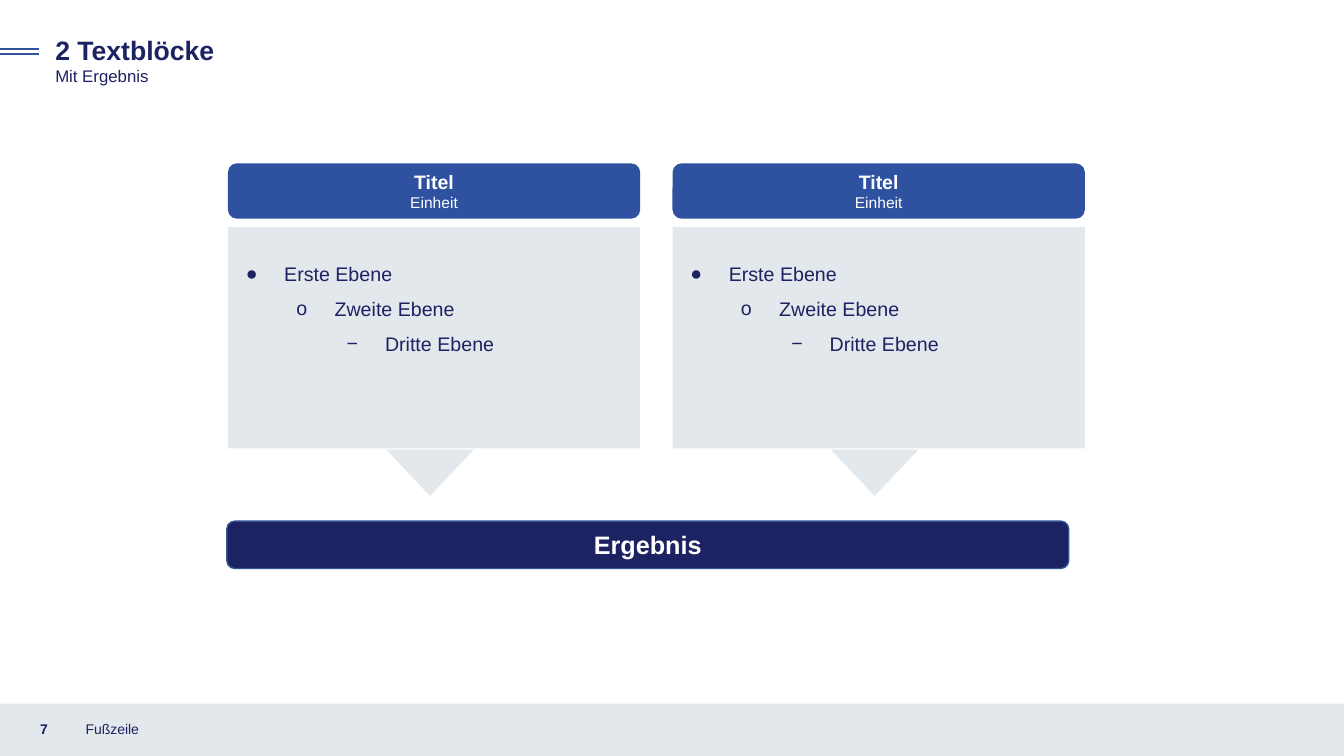
"""Build a slide with two text blocks that lead to one result."""
from dataclasses import dataclass

from lxml import etree
from pptx import Presentation
from pptx.dml.color import RGBColor
from pptx.enum.shapes import MSO_CONNECTOR, MSO_SHAPE
from pptx.enum.text import MSO_ANCHOR, PP_ALIGN
from pptx.oxml.ns import qn
from pptx.util import Inches, Pt

RECT = MSO_SHAPE.RECTANGLE
ROUND = MSO_SHAPE.ROUNDED_RECTANGLE
WEDGE = MSO_SHAPE.ISOSCELES_TRIANGLE
LINE = MSO_CONNECTOR.STRAIGHT
TOP, MIDDLE = MSO_ANCHOR.TOP, MSO_ANCHOR.MIDDLE
LEFT, CENTER = PP_ALIGN.LEFT, PP_ALIGN.CENTER


@dataclass(frozen=True)
class Theme:
    """Colours, font and type sizes of the slide."""
    navy: str = "1D2262"
    blue: str = "2F52A0"
    edge: str = "325491"
    gray: str = "E3E8EC"
    white: str = "FFFFFF"
    font: str = "Arial"
    title: float = 19
    result: float = 18
    body: float = 14
    head: float = 13.9
    sub: float = 12
    unit: float = 11.1
    foot: float = 10


class Pen:
    """Draw styled elements on a slide or in a group."""

    def __init__(self, style, shapes):
        self.style = style
        self.shapes = shapes

    def group(self):
        """Return a pen that draws in a new group."""
        return Pen(self.style, self.shapes.add_group_shape().shapes)

    def shape(self, kind, box, fill, edge=None):
        """Add a filled preset shape."""
        shape = self.shapes.add_shape(kind, *map(Inches, box))
        shape.shadow.inherit = False
        shape.fill.solid()
        shape.fill.fore_color.rgb = RGBColor.from_string(fill)
        if edge:
            shape.line.color.rgb = RGBColor.from_string(edge)
            shape.line.width = Pt(1)
        else:
            shape.line.fill.background()
        return shape

    def line(self, start, end):
        """Add a straight accent line."""
        line = self.shapes.add_connector(LINE, *map(Inches, start + end))
        line.line.color.rgb = RGBColor.from_string(self.style.blue)
        line.line.width = Pt(1.5)
        etree.SubElement(line._element.spPr, qn("a:effectLst"))

    def font(self, para, size, color, bold=False):
        """Set the font of a paragraph."""
        font = para.font
        font.name, font.size, font.bold = self.style.font, Pt(size), bold
        font.color.rgb = RGBColor.from_string(color)

    def text(self, shape, rows, color, align=LEFT, anchor=MIDDLE):
        """Fill a shape with rows of text, size and weight."""
        frame = shape.text_frame
        frame.word_wrap = True
        frame.vertical_anchor = anchor
        frame.text = "\n".join(text for text, _, _ in rows)
        for para, (_, size, bold) in zip(frame.paragraphs, rows):
            para.alignment = align
            self.font(para, size, color, bold)

    def label(self, box, text, size, bold=False, anchor=MIDDLE):
        """Add a text box with one line of text."""
        shape = self.shapes.add_textbox(*map(Inches, box))
        self.text(shape, [(text, size, bold)], self.style.navy, LEFT, anchor)

    def bullets(self, box, items):
        """Add a list with one deeper level for each item."""
        frame = self.shapes.add_textbox(*map(Inches, box)).text_frame
        frame.word_wrap = True
        frame.text = "\n".join(text for _, text in items)
        for level, (mark, _) in enumerate(items):
            para = frame.paragraphs[level]
            para.level = level
            para.line_spacing = 1.5
            props = para._p.get_or_add_pPr()
            props.set("marL", str(Inches(0.38 + 0.5 * level)))
            props.set("indent", str(Inches(-0.38)))
            tint = etree.SubElement(props, qn("a:buClr"))
            etree.SubElement(tint, qn("a:srgbClr"), val=self.style.navy)
            etree.SubElement(props, qn("a:buFont"), typeface=self.style.font)
            etree.SubElement(props, qn("a:buChar"), char=mark)
            self.font(para, self.style.body, self.style.navy)

    def block(self, left, items):
        """Add a heading, a panel with its list and a wedge below."""
        style, width = self.style, 4.09
        head = self.shape(ROUND, (left, 1.62, width, 0.55), style.blue)
        rows = [("Titel", style.head, True), ("Einheit", style.unit, False)]
        self.text(head, rows, style.white, CENTER)
        panel = self.group()
        wedge = panel.shape(WEDGE, (left + 1.57, 4.46, 0.87, 0.46), style.gray)
        wedge.rotation = 180
        panel.shape(RECT, (left, 2.25, width, 2.2), style.gray)
        panel.bullets((left + 0.08, 2.43, 3.78, 1.87), items)


def main():
    """Build and save the slide."""
    deck = Presentation()
    deck.slide_width, deck.slide_height = Inches(13.33), Inches(7.5)
    slide = deck.slides.add_slide(deck.slide_layouts[6])
    style = Theme()
    pen = Pen(style, slide.shapes)

    pen.shape(RECT, (0, 6.98, 13.33, 0.52), style.gray)
    pen.label((0.3, 7.03, 0.45, 0.4), "7", style.foot, True)
    pen.label((0.75, 7.03, 4.5, 0.4), "Fußzeile", style.foot)

    pen.label((0.45, 0.29, 7.72, 0.42), "2 Textblöcke", style.title, True, TOP)
    pen.label((0.45, 0.6, 3.46, 0.3), "Mit Ergebnis", style.sub, False, TOP)
    accent = pen.group()
    for top in (0.49, 0.54):
        accent.line((0, top), (0.39, top))

    result = pen.shape(ROUND, (2.25, 5.17, 8.35, 0.47), style.navy, style.edge)
    pen.text(result, [("Ergebnis", style.result, True)], style.white, CENTER)

    items = [("●", "Erste Ebene"), ("o", "Zweite Ebene"), ("−", "Dritte Ebene")]
    for left in (2.26, 6.67):
        pen.block(left, items)

    deck.save("out.pptx")


if __name__ == "__main__":
    main()
